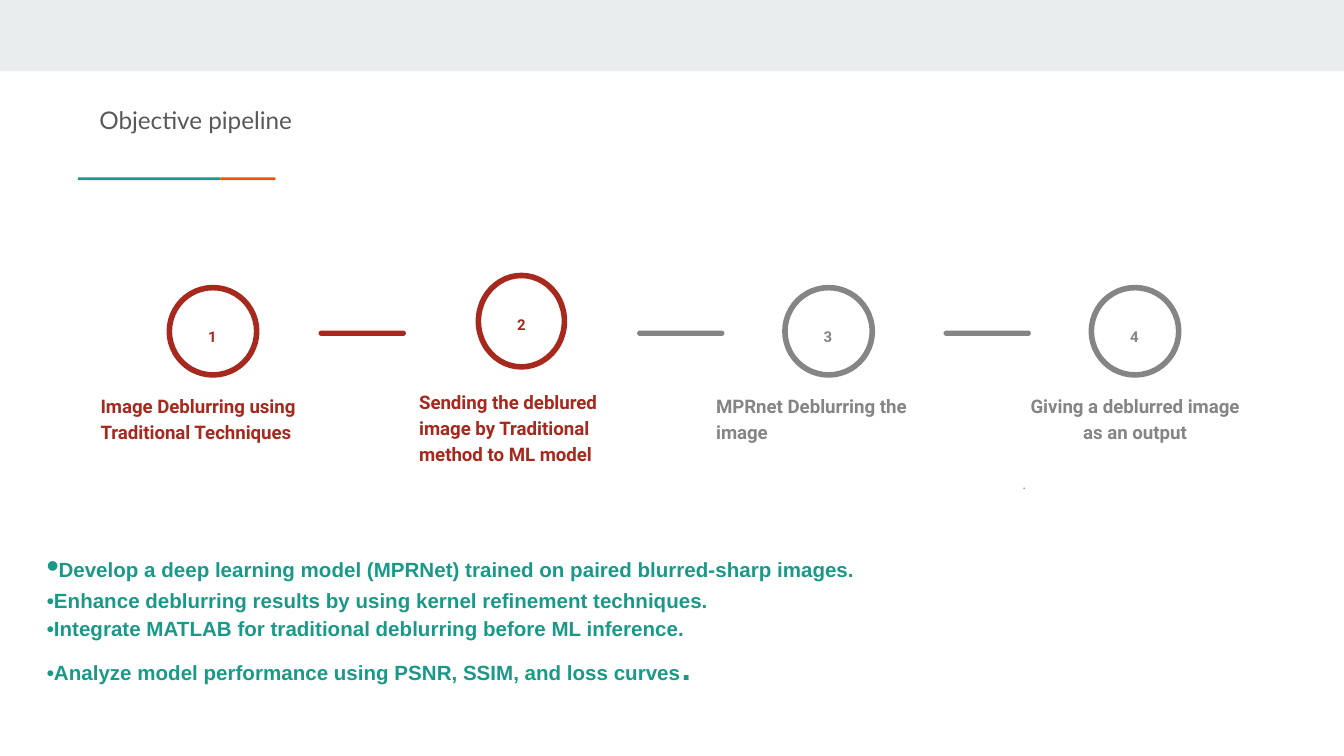
from pptx import Presentation
from pptx.dml.color import RGBColor
from pptx.enum import shapes, text
from pptx.util import Inches, Pt

RED, GREY, TEAL, ORANGE = "A7291E", "858585", "1A9988", "EB5600"
SHAPE, ALIGN, ANCHOR = shapes.MSO_SHAPE, text.PP_ALIGN, text.MSO_ANCHOR


def rgb(value):
    return RGBColor.from_string(value)


def add_shape(slide, kind, box, fill=None, line=None):
    sp = slide.shapes.add_shape(kind, *map(Inches, box))
    sp.shadow.inherit = False
    if fill:
        sp.fill.solid()
        sp.fill.fore_color.rgb = rgb(fill)
    else:
        sp.fill.background()
    if line:
        sp.line.color.rgb = rgb(line)
        sp.line.width = Pt(3)
    else:
        sp.line.fill.background()
    return sp


def set_frame(sp, anchor=ANCHOR.TOP):
    tf = sp.text_frame
    tf.word_wrap = True
    tf.auto_size = text.MSO_AUTO_SIZE.NONE
    tf.vertical_anchor = anchor
    tf.margin_left = tf.margin_right = Inches(0.1)
    tf.margin_top = tf.margin_bottom = Inches(0.1)
    return tf


def add_run(p, words, size, font, color, bold=True):
    r = p.add_run()
    r.text = words
    r.font.size = Pt(size)
    r.font.name = font
    r.font.bold = bold
    r.font.color.rgb = rgb(color)


def add_label(slide, box, words, size, color, align=ALIGN.LEFT,
              anchor=ANCHOR.TOP, bold=True):
    tf = set_frame(slide.shapes.add_textbox(*map(Inches, box)), anchor)
    p = tf.paragraphs[0]
    p.alignment = align
    p.line_spacing = 1.15
    add_run(p, words, size, "Roboto", color, bold)


def add_header(slide, left, top):
    """Band across the top, title and two-colour rule."""
    add_shape(slide, SHAPE.RECTANGLE, (0, 0, 10, 0.53), "E9EDEE")
    for x, width, color in ((0, 1.06, TEAL), (1.06, 0.41, ORANGE)):
        add_shape(slide, SHAPE.RECTANGLE,
                  (left + x, top + 0.64, width, 0.02), color)
    title = slide.shapes.title
    title.left, title.top = Inches(left + 0.06), Inches(top)
    title.width, title.height = Inches(4.43), Inches(0.52)
    p = set_frame(title).paragraphs[0]
    p.alignment = ALIGN.LEFT
    add_run(p, "Objective pipeline", 13, "Lato", "595959", bold=False)


def add_step(slide, circle, caption_box, number, caption, color, align):
    """Numbered ring with a caption placed relative to its corner."""
    x, y = circle[:2]
    dx, dy, width, height = caption_box
    add_shape(slide, SHAPE.OVAL, circle, line=color)
    add_label(slide, (x + 0.08, y + 0.18, 0.48, 0.35), str(number), 8, color,
              ALIGN.CENTER)
    add_label(slide, (x + dx, y + dy, width, height), caption, 10, color,
              align, ANCHOR.BOTTOM)


def add_pipeline(slide, top):
    cap = (-0.61, 0.77, 1.87, 0.49)
    steps = (
        ((1.26, top, 0.65, 0.65), cap,
         "Image Deblurring using Traditional Techniques", RED, ALIGN.LEFT),
        ((3.56, top - 0.09, 0.64, 0.68), (-0.54, 0.83, 1.85, 0.68),
         "Sending the deblured image by Traditional method to ML model",
         RED, ALIGN.LEFT),
        ((5.84, top, 0.65, 0.65), cap,
         "MPRnet Deblurring the image", GREY, ALIGN.LEFT),
        ((8.12, top, 0.65, 0.65), cap,
         "Giving a deblurred image as an output", GREY, ALIGN.CENTER),
    )
    for number, (circle, box, caption, color, align) in enumerate(steps, 1):
        add_step(slide, circle, box, number, caption, color, align)
    for x, color in ((2.37, RED), (4.74, GREY), (7.02, GREY)):
        bar = add_shape(slide, SHAPE.ROUNDED_RECTANGLE,
                        (x, top + 0.32, 0.65, 0.04), color)
        bar.adjustments[0] = 0.5
    add_label(slide, (7.51, top + 1.27, 1.87, 0.81), ".", 8, GREY, bold=False)


def add_goals(slide, box):
    goals = (
        (("•", 18), ("Develop a deep learning model (MPRNet) trained on "
                     "paired blurred-sharp images.", 11)),
        (("•Enhance deblurring results by using kernel refinement "
          "techniques.", 11),),
        (("•Integrate MATLAB for traditional deblurring before ML "
          "inference.", 11),),
        (("•Analyze model performance using PSNR, SSIM, and loss curves", 11),
         (".", 18)),
    )
    tf = set_frame(slide.shapes.add_textbox(*map(Inches, box)))
    for i, runs in enumerate(goals):
        p = tf.add_paragraph() if i else tf.paragraphs[0]
        p.line_spacing = 1.15
        for words, size in runs:
            add_run(p, words, size, "Arial", TEAL)


def main():
    prs = Presentation()
    prs.slide_width = Inches(10)
    prs.slide_height = prs.slide_width * 9 // 16
    slide = prs.slides.add_slide(prs.slide_layouts[5])
    add_header(slide, 0.58, 0.68)
    add_pipeline(slide, 2.14)
    add_goals(slide, (0.25, 3.9, 9.7, 1.59))
    prs.save("out.pptx")


if __name__ == "__main__":
    main()
